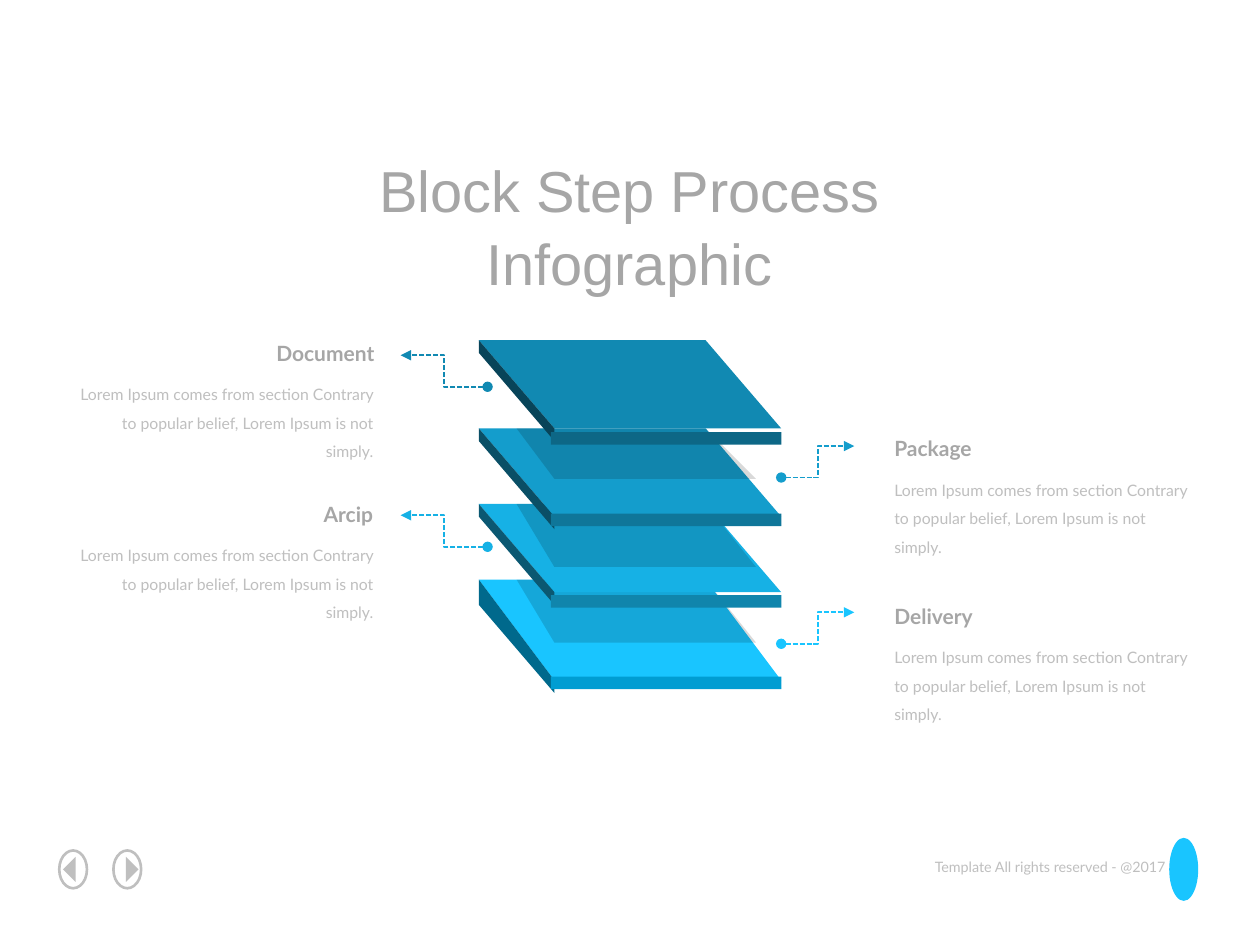
from lxml.etree import SubElement
from pptx import Presentation
from pptx.dml.color import RGBColor
from pptx.enum.dml import MSO_LINE
from pptx.enum.shapes import MSO_CONNECTOR, MSO_SHAPE
from pptx.enum.text import MSO_ANCHOR, MSO_AUTO_SIZE, PP_ALIGN
from pptx.oxml.ns import qn
from pptx.util import Inches, Pt

# The grid has 100 columns and 75 rows of square cells
CELL = Inches(0.1)
COLUMNS, ROWS = 100, 75

BLACK = RGBColor(0x00, 0x00, 0x00)
GREY = RGBColor(0xA6, 0xA6, 0xA6)
LIGHT_GREY = RGBColor(0xBF, 0xBF, 0xBF)
SKY = RGBColor(0x19, 0xC5, 0xFF)
AZURE = RGBColor(0x16, 0xB1, 0xE5)
CERULEAN = RGBColor(0x14, 0x9D, 0xCC)
OCEAN = RGBColor(0x11, 0x89, 0xB2)

# Top face, side and front edge of each layer, from top to bottom
LAYERS = [
    (OCEAN, RGBColor(0x08, 0x44, 0x59), RGBColor(0x0D, 0x67, 0x86)),
    (CERULEAN, RGBColor(0x0A, 0x4F, 0x66), RGBColor(0x0F, 0x76, 0x99)),
    (AZURE, RGBColor(0x0B, 0x58, 0x72), RGBColor(0x10, 0x85, 0xAC)),
    (SKY, RGBColor(0x00, 0x69, 0x8C), RGBColor(0x00, 0x9D, 0xD2)),
]
FIRST_LAYER, LAST_LAYER = 27.1, 46.5
LAYER_GAP = (LAST_LAYER - FIRST_LAYER) / (len(LAYERS) - 1)

# Heading, colour, on the left, heading left, width and top, connector start row
STEPS = [
    ("Document", OCEAN, True, 20.8, 9.9, 26.5, 30.7),
    ("Package", CERULEAN, False, 70, 8.3, 34.1, 37.9),
    ("Arcip", AZURE, True, 24.6, 6, 39.3, 43.4),
    ("Delivery", SKY, False, 70, 8.3, 47.4, 51.1),
]
DESCRIPTION = ("Lorem Ipsum comes from section Contrary to popular belief, "
               "Lorem Ipsum is not simply.")


class SlideBuilder:
    """Draws styled elements on one slide, measured in grid cells."""

    FONTS = {
        "title": {"name": "Arial", "size": Pt(33), "color": GREY},
        "heading": {"name": "Lato", "size": Pt(12), "bold": True, "color": GREY},
        "body": {"name": "Lato", "size": Pt(9), "color": LIGHT_GREY},
        "footer": {"name": "Lato", "size": Pt(8.2), "color": LIGHT_GREY},
    }

    def __init__(self, slide):
        self.slide = slide

    def cells(self, *lengths):
        return [round(length * CELL) for length in lengths]

    def fill_text(self, shape, text, style, frame_format, paragraph_format):
        frame = shape.text_frame
        frame.text = text
        paragraph = frame.paragraphs[0]
        font_format = dict(self.FONTS[style])
        paragraph.font.color.rgb = font_format.pop("color")
        for target, values in ((frame, frame_format),
                               (paragraph, paragraph_format),
                               (paragraph.font, font_format)):
            for name, value in values.items():
                setattr(target, name, value)

    def title(self, text, *box):
        shape = self.slide.shapes.title
        names = ("left", "top", "width", "height")
        for name, value in zip(names, self.cells(*box)):
            setattr(shape, name, value)
        self.fill_text(shape, text, "title",
                       {"auto_size": MSO_AUTO_SIZE.NONE, "word_wrap": True,
                        "vertical_anchor": MSO_ANCHOR.TOP,
                        "margin_top": Inches(0.07)},
                       {"alignment": PP_ALIGN.CENTER, "line_spacing": 1.05})

    def text(self, text, style, *box, right=False, wrap=False, spacing=1.0):
        shape = self.slide.shapes.add_textbox(*self.cells(*box))
        self.fill_text(shape, text, style,
                       {"word_wrap": wrap,
                        "auto_size": MSO_AUTO_SIZE.SHAPE_TO_FIT_TEXT},
                       {"alignment": PP_ALIGN.RIGHT if right else PP_ALIGN.LEFT,
                        "line_spacing": spacing})

    def paint(self, shape, color, opacity=100):
        shape.shadow.inherit = False
        shape.line.fill.background()
        shape.fill.solid()
        shape.fill.fore_color.rgb = color
        if opacity < 100:
            fill_element = shape._element.spPr.find(qn("a:solidFill"))
            SubElement(fill_element[0], qn("a:alpha"), val=str(opacity * 1000))

    def preset(self, kind, color, *box, shapes=None):
        shapes = shapes or self.slide.shapes
        shape = shapes.add_shape(kind, *self.cells(*box))
        self.paint(shape, color)
        return shape

    def polygon(self, color, points, opacity=100, shapes=None):
        shapes = shapes or self.slide.shapes
        builder = shapes.build_freeform(*points[0], scale=float(CELL))
        builder.add_line_segments(points[1:], close=True)
        self.paint(builder.convert_to_shape(), color, opacity)

    def layer(self, top, colors, shaded):
        face, side, edge = colors
        shapes = self.slide.shapes.add_group_shape().shapes
        left, front_left, back_right, right = 38, 43.73, 56.3, 62.02
        front, thickness = top + 7.2, 1
        self.polygon(face, [(front_left, front), (right, front),
                            (back_right, top), (left, top)], shapes=shapes)
        self.polygon(side, [(left, top), (left, top + thickness),
                            (front_left, front + thickness),
                            (front_left, front)], shapes=shapes)
        self.preset(MSO_SHAPE.RECTANGLE, edge, front_left, front,
                    right - front_left, thickness, shapes=shapes)
        if shaded:
            self.polygon(BLACK, [(44.5, top + 4.55), (59.8, top + 4.5),
                                 (back_right, top), (40.9, top)],
                         opacity=15, shapes=shapes)

    def connector(self, color, *ends):
        connector = self.slide.shapes.add_connector(
            MSO_CONNECTOR.ELBOW, *self.cells(*ends))
        line = connector.line
        line.color.rgb = color
        line.width = Pt(1)
        line.dash_style = MSO_LINE.SQUARE_DOT
        properties = connector._element.spPr
        outline = properties.find(qn("a:ln"))
        SubElement(outline, qn("a:headEnd"), type="oval")
        SubElement(outline, qn("a:tailEnd"), type="triangle")
        SubElement(properties, qn("a:effectLst"))

    def arrow_button(self, left, direction):
        ring = self.preset(MSO_SHAPE.OVAL, LIGHT_GREY, left + 0.1, 67.5, 2.2, 3)
        ring.fill.background()
        ring.line.color.rgb = LIGHT_GREY
        ring.line.width = Pt(1.5)
        center, middle = left + 1.2 + 0.05 * direction, 69.05
        outline = [(-0.4, -0.65), (0.2, 0), (-0.4, 0.65),
                   (-0.4, 0.95), (0.5, 0), (-0.4, -0.95)]
        self.polygon(LIGHT_GREY, [(center + direction * x, middle + y)
                                  for x, y in outline])

    def step(self, heading, color, on_left, left, width, top, start):
        self.text(heading, "heading", left, top, width, 3, right=on_left)
        self.text(DESCRIPTION, "body", 4.9 if on_left else 70, top + 2.8,
                  25.7, 7.8, right=on_left, wrap=True, spacing=1.5)
        begin, end = (38.7, 31.8) if on_left else (62, 67.8)
        self.connector(color, begin, start, end, start - 2.5)


def main():
    presentation = Presentation()
    presentation.slide_width = COLUMNS * CELL
    presentation.slide_height = ROWS * CELL
    title_only = presentation.slide_layouts[5]
    builder = SlideBuilder(presentation.slides.add_slide(title_only))

    # Footer with navigation buttons and a plain emblem
    builder.text("Template All rights reserved - @2017", "footer",
                 72.5, 67.6, 21, 2.4, right=True)
    builder.arrow_button(4.6, -1)
    builder.arrow_button(8.9, 1)
    builder.preset(MSO_SHAPE.OVAL, SKY, 92.8, 66.5, 2.3, 5)

    builder.title("Block Step Process Infographic", 17.5, 11.3, 64.9, 6.6)

    # Stack of layers, drawn from the bottom up
    for index in reversed(range(len(LAYERS))):
        builder.layer(FIRST_LAYER + index * LAYER_GAP, LAYERS[index], index > 0)

    # Steps beside the stack
    for step in STEPS:
        builder.step(*step)

    presentation.save("out.pptx")


if __name__ == "__main__":
    main()
